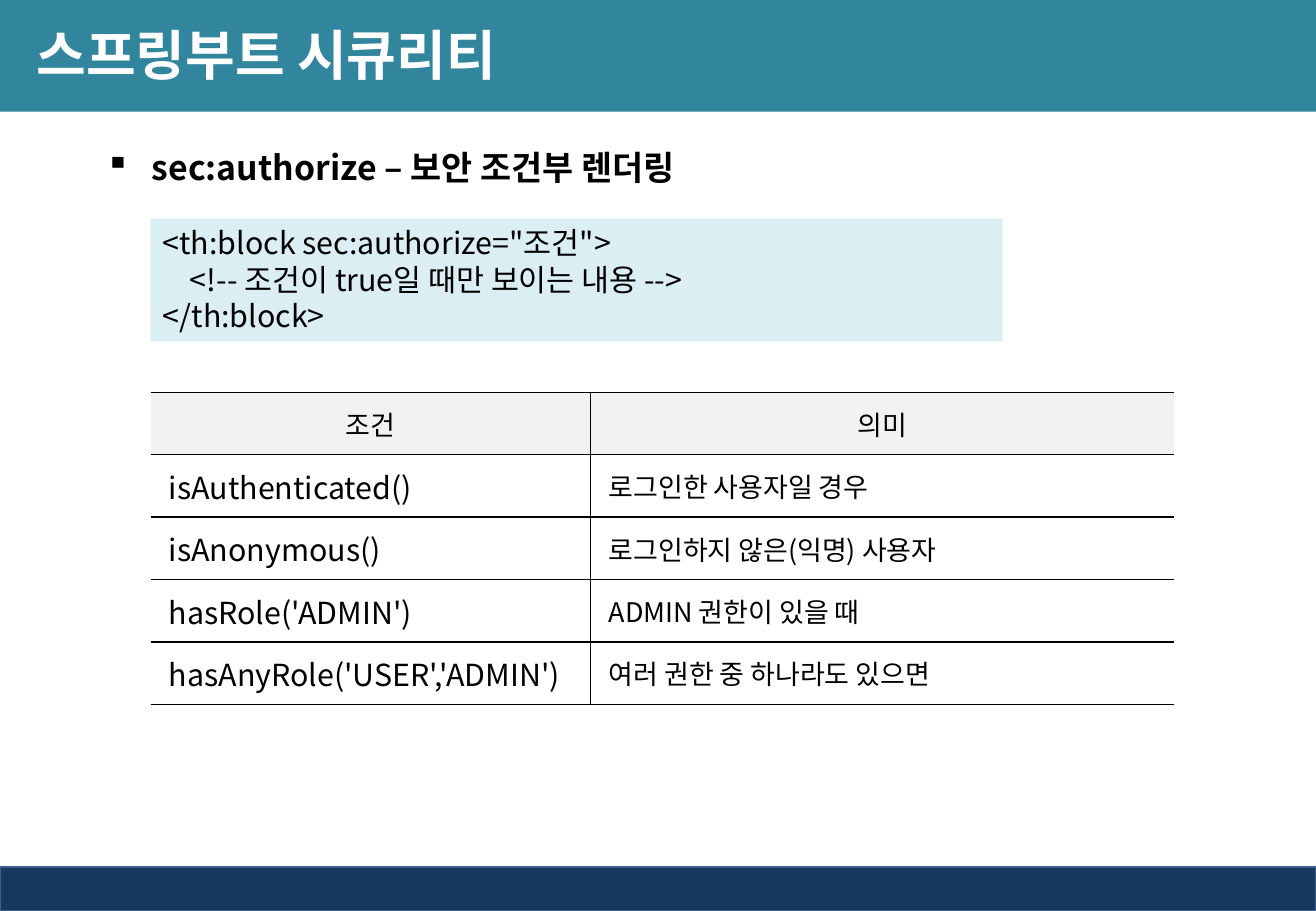
from pptx import Presentation
from pptx.dml.color import RGBColor
from pptx.enum.shapes import MSO_SHAPE as Shape
from pptx.enum.text import MSO_ANCHOR as Anchor, PP_ALIGN as Align
from pptx.oxml import parse_xml
from pptx.oxml.ns import nsdecls, qn
from pptx.util import Inches, Pt

# Content
TITLE = "스프링부트 시큐리티"
HEADING = "sec:authorize – 보안 조건부 렌더링"
CODE = [
    '<th:block sec:authorize="조건">',
    "    <!-- 조건이 true일 때만 보이는 내용 -->",
    "</th:block>",
]
CONDITIONS = [
    ("조건", "의미"),
    ("isAuthenticated()", "로그인한 사용자일 경우"),
    ("isAnonymous()", "로그인하지 않은(익명) 사용자"),
    ("hasRole('ADMIN')", "ADMIN 권한이 있을 때"),
    ("hasAnyRole('USER','ADMIN')", "여러 권한 중 하나라도 있으면"),
]

# Style
FONT = "Noto Sans CJK KR"
BLACK = RGBColor(0x00, 0x00, 0x00)
WHITE = RGBColor(0xFF, 0xFF, 0xFF)
TEAL = RGBColor(0x31, 0x85, 0x9C)
NAVY = RGBColor(0x17, 0x37, 0x5E)
NAVY_EDGE = RGBColor(0x3A, 0x5F, 0x8C)
PALE_BLUE = RGBColor(0xDB, 0xEE, 0xF4)
PALE_GREY = RGBColor(0xF2, 0xF2, 0xF2)

# Layout in inches
WIDTH, HEIGHT = 10.83, 7.5
HEADER_HEIGHT, FOOTER_HEIGHT = 0.92, 0.36
BODY_LEFT = 1.24
COLUMNS = (3.62, 4.8)
ROW_HEIGHT = 0.514
CELL_MARGIN = 0.15

deck = Presentation()
deck.slide_width, deck.slide_height = Inches(WIDTH), Inches(HEIGHT)
page = deck.slides.add_slide(deck.slide_layouts[6])


def add_panel(left, top, width, height, fill, edge=None):
    panel = page.shapes.add_shape(Shape.RECTANGLE, *map(Inches, (left, top, width, height)))
    panel.shadow.inherit = False
    panel.fill.solid()
    panel.fill.fore_color.rgb = fill
    if edge is None:
        panel.line.fill.background()
    else:
        panel.line.color.rgb = edge
        panel.line.width = Pt(1)
    return panel


def add_text_box(left, top, width, height):
    box = page.shapes.add_textbox(*map(Inches, (left, top, width, height)))
    box.text_frame.word_wrap = True
    return box.text_frame


def write(para, text, size, color=BLACK, bold=False, align=Align.LEFT):
    para.text = text
    para.alignment = align
    font = para.font
    font.name, font.size, font.bold = FONT, Pt(size), bold
    font.color.rgb = color
    defaults = para._p.pPr.find(qn("a:defRPr"))
    defaults.append(parse_xml(f'<a:ea {nsdecls("a")} typeface="{FONT}"/>'))


def set_borders(cell, drawn):
    properties = cell._tc.get_or_add_tcPr()
    for index, side in enumerate("LRTB"):
        fill = f'<a:solidFill><a:srgbClr val="{BLACK}"/></a:solidFill>' if side in drawn else "<a:noFill/>"
        properties.insert(index, parse_xml(
            f'<a:ln{side} {nsdecls("a")} w="{Pt(1)}">{fill}</a:ln{side}>'))


# Header and footer bands
add_panel(0, HEIGHT - FOOTER_HEIGHT, WIDTH, FOOTER_HEIGHT, NAVY, NAVY_EDGE)
add_panel(0, 0, WIDTH, HEADER_HEIGHT, TEAL)

# Title
title = add_text_box(0, -0.03, 8.74, 0.94)
title.vertical_anchor = Anchor.MIDDLE
title.margin_left = Inches(0.3)
write(title.paragraphs[0], TITLE, 32, WHITE, bold=True)

# Bulleted heading
heading = add_text_box(0.77, 0.99, 6.77, 0.54).paragraphs[0]
heading.line_spacing = 1.5
indent = heading._p.get_or_add_pPr()
indent.set("marL", str(Inches(0.38)))
indent.set("indent", str(-Inches(0.38)))
indent.append(parse_xml(f'<a:buChar {nsdecls("a")} char="▪"/>'))
write(heading, HEADING, 20, bold=True)

# Condition table
grid = page.shapes.add_table(
    len(CONDITIONS), len(COLUMNS), Inches(BODY_LEFT), Inches(3.23),
    Inches(sum(COLUMNS)), Inches(ROW_HEIGHT * len(CONDITIONS))).table
grid.first_row = grid.horz_banding = False
for column, width in zip(grid.columns, COLUMNS):
    column.width = Inches(width)
for r, texts in enumerate(CONDITIONS):
    grid.rows[r].height = Inches(ROW_HEIGHT)
    for c, text in enumerate(texts):
        cell = grid.cell(r, c)
        cell.vertical_anchor = Anchor.MIDDLE
        para = cell.text_frame.paragraphs[0]
        if r == 0:
            cell.fill.solid()
            cell.fill.fore_color.rgb = PALE_GREY
            write(para, text, 16, align=Align.CENTER)
        else:
            cell.fill.background()
            cell.margin_left = Inches(CELL_MARGIN)
            write(para, text, 18 if c == 0 else 16)
        set_borders(cell, "RTB" if c == 0 else "LTB")

# Code sample
code = add_panel(BODY_LEFT, 1.8, 7.01, 1.01, PALE_BLUE).text_frame
code.word_wrap = True
code.vertical_anchor = Anchor.TOP
for number, line in enumerate(CODE):
    write(code.add_paragraph() if number else code.paragraphs[0], line, 18)

deck.save("out.pptx")
